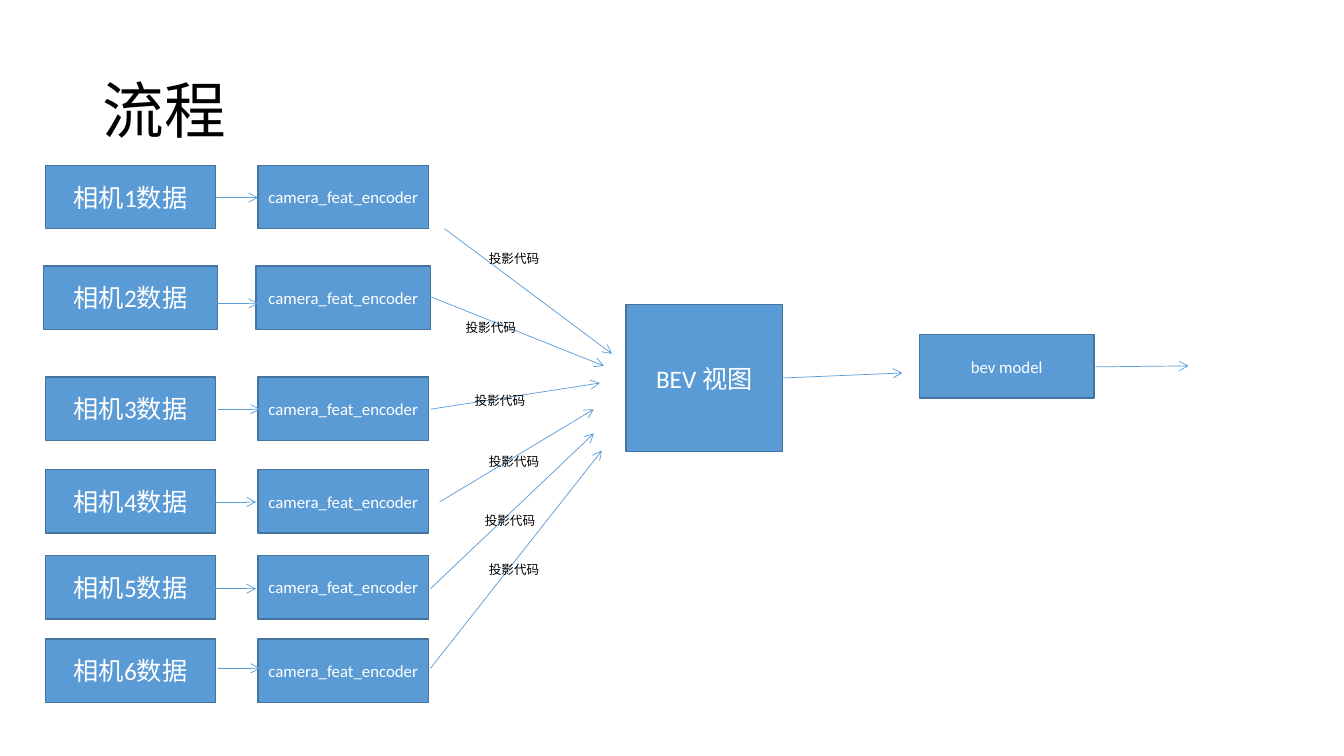
"""Build the flow slide: six cameras, their encoders, the BEV view and the model."""
from lxml.etree import SubElement
from pptx import Presentation
from pptx.dml.color import RGBColor as RGB
from pptx.enum.shapes import MSO_CONNECTOR as LINK, MSO_SHAPE as SHAPE
from pptx.enum.text import MSO_ANCHOR as ANCHOR, MSO_AUTO_SIZE as FIT, PP_ALIGN as ALIGN
from pptx.oxml.ns import qn
from pptx.util import Inches as In, Pt

HUE = {"fill": "5B9BD5", "edge": "43739E", "light": "FFFFFF", "dark": "000000"}
FONT = "Calibri"

deck = Presentation()
deck.slide_width, deck.slide_height = In(13.33), In(7.5)
slide = deck.slides.add_slide(deck.slide_layouts[5])
shapes = slide.shapes


def write(item, text, size, hue, align, anchor):
    frame = item.text_frame
    frame.vertical_anchor = anchor
    para = frame.paragraphs[0]
    para.alignment = align
    run = para.add_run()
    run.text = text
    run.font.size, run.font.name = Pt(size), FONT
    run.font.color.rgb = RGB.from_string(HUE[hue])
    return para


title = shapes.title
title.left, title.top, title.width, title.height = In(0.92), In(0.4), In(11.5), In(1.45)
title.text_frame.auto_size = FIT.NONE
write(title, "流程", 44, "dark", ALIGN.LEFT, ANCHOR.MIDDLE).line_spacing = 0.9

CAM, ENC, WIDE, HIGH = 0.45, 2.56, 1.69, 0.63
ROWS = [1.64, 2.64, 3.74, 4.66, 5.51, 6.34]
boxes = [(6.21, 3.02, 1.55, 1.46, "BEV 视图", 18),
         (9.12, 3.32, 1.73, HIGH, "bev model", 12)]
for num, top in enumerate(ROWS, 1):
    grow = 0.02 if num == 2 else 0
    for left, text, size in ((CAM, f"相机{num}数据", 18), (ENC, "camera_feat_encoder", 12)):
        boxes.append((left - grow, top, WIDE + 2 * grow, HIGH, text, size))

for left, top, wide, high, text, size in boxes:
    box = shapes.add_shape(SHAPE.RECTANGLE, In(left), In(top), In(wide), In(high))
    box.shadow.inherit = False
    box.fill.solid()
    box.fill.fore_color.rgb = RGB.from_string(HUE["fill"])
    box.line.color.rgb = RGB.from_string(HUE["edge"])
    box.line.width = Pt(1)
    box.text_frame.word_wrap = False
    write(box, text, size, "light", ALIGN.CENTER, ANCHOR.MIDDLE)

FEEDS = [(2.14, 1.96), (2.14, 3.01), (2.16, 4.06), (2.12, 4.98), (2.12, 5.84), (2.16, 6.63)]
links = [(left, y, left + 0.42, y) for left, y in FEEDS]
links += [
    (4.41, 2.27, 6.07, 3.51),
    (4.26, 2.94, 5.99, 3.63),
    (4.27, 4.06, 5.95, 3.8),
    (4.36, 4.98, 5.89, 4.06),
    (4.27, 5.84, 5.89, 4.3),
    (4.27, 6.63, 5.97, 4.47),
    (7.76, 3.75, 8.95, 3.7),
    (10.85, 3.64, 11.79, 3.63),
]
for ends in links:
    link = shapes.add_connector(LINK.STRAIGHT, *map(In, ends))
    link.line.color.rgb = RGB.from_string(HUE["fill"])
    link.line.width = Pt(0.5)
    SubElement(link.line._get_or_add_ln(), qn("a:tailEnd"), type="arrow")
    SubElement(link._element.spPr, qn("a:effectLst"))

TAGS = [(4.75, 2.44), (4.52, 3.12), (4.61, 3.85), (4.75, 4.45), (4.71, 5.04), (4.75, 5.52)]
for left, top in TAGS:
    tag = shapes.add_textbox(In(left), In(top), In(0.7), In(0.25))
    tag.text_frame.word_wrap = False
    tag.text_frame.auto_size = FIT.SHAPE_TO_FIT_TEXT
    write(tag, "投影代码", 9, "dark", ALIGN.LEFT, ANCHOR.TOP)

deck.save("out.pptx")
